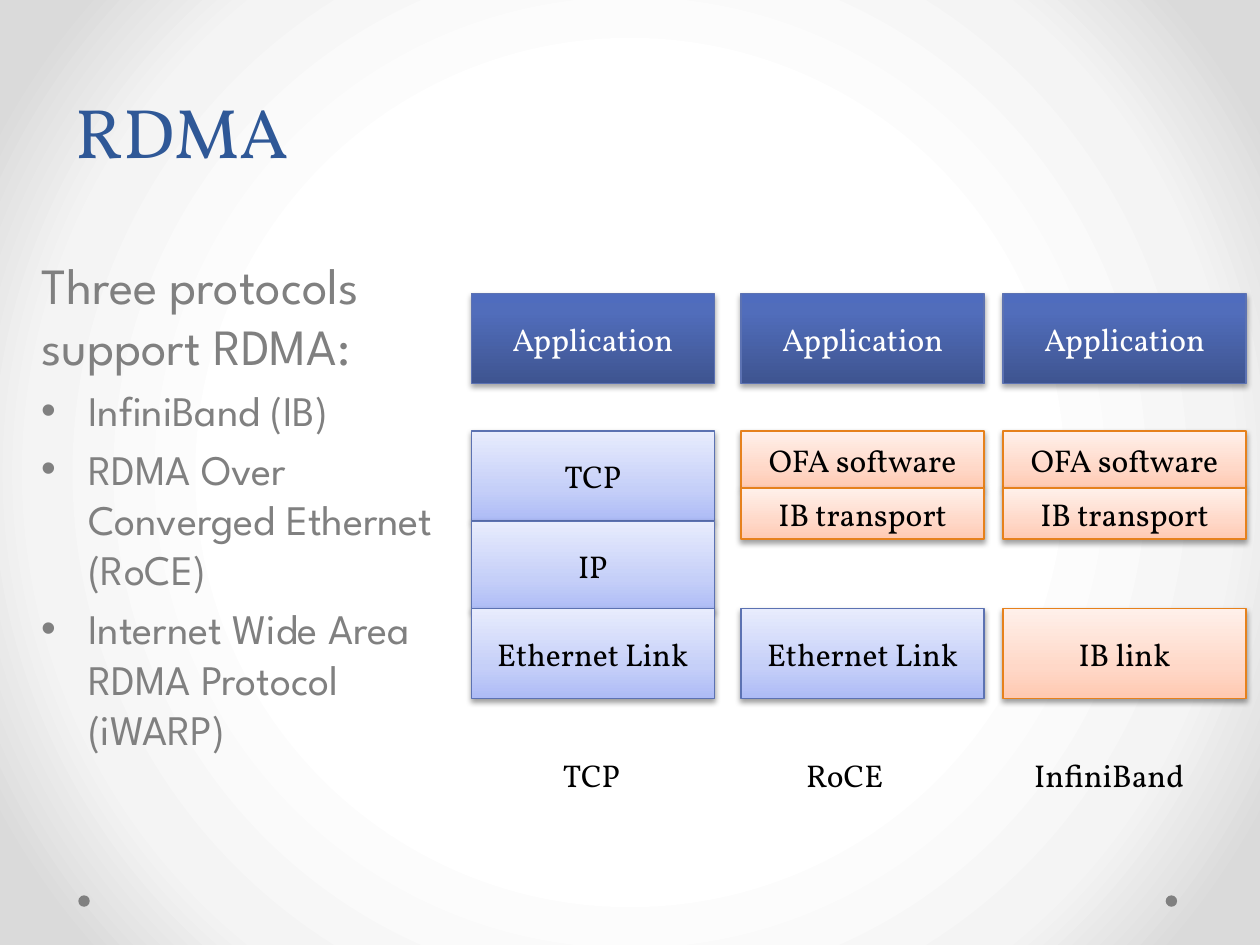
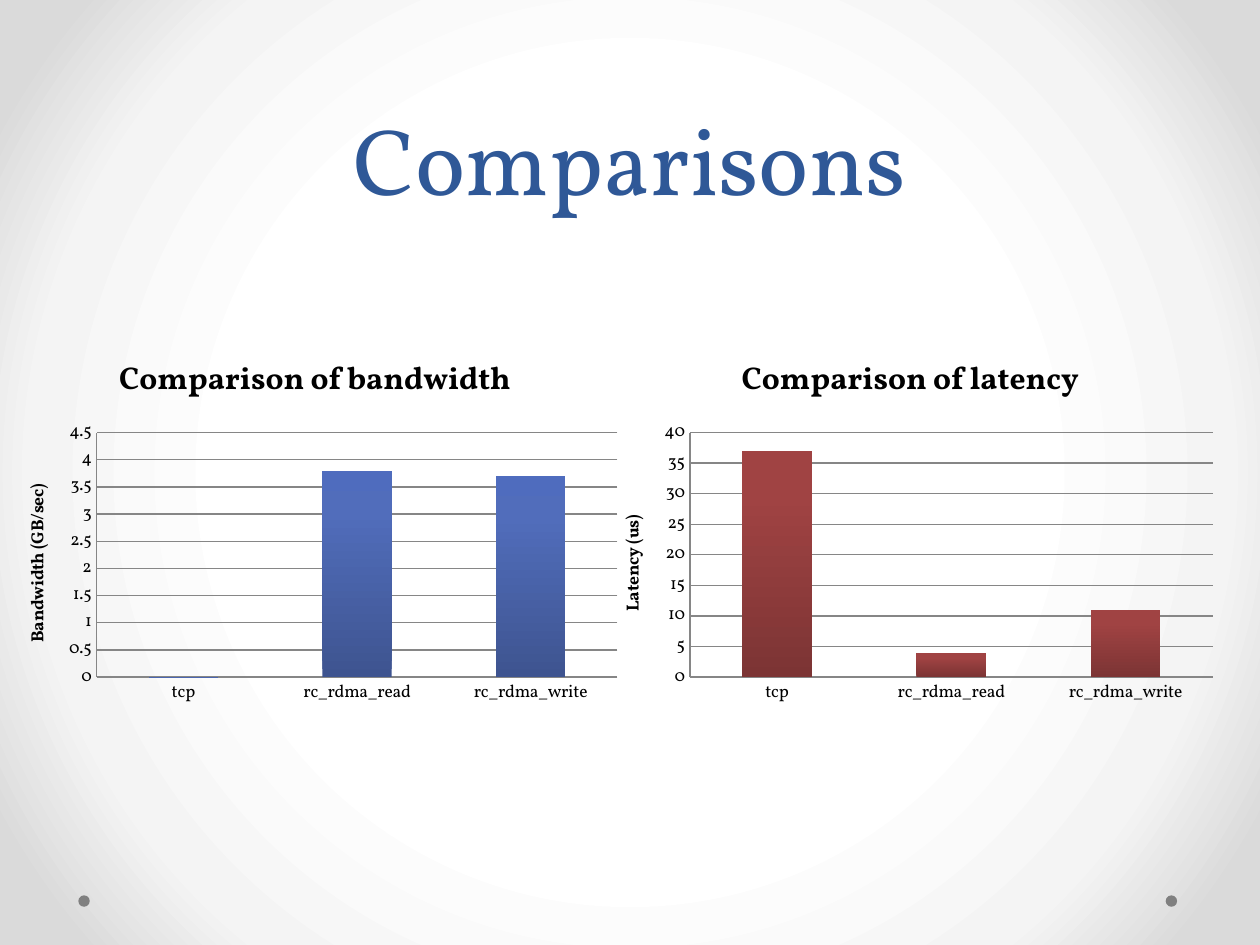
from lxml import etree
from pptx import Presentation
from pptx.chart.data import CategoryChartData
from pptx.dml.color import RGBColor
from pptx.enum.chart import XL_CHART_TYPE, XL_TICK_MARK
from pptx.enum.shapes import MSO_SHAPE
from pptx.enum.text import MSO_ANCHOR, MSO_AUTO_SIZE, PP_ALIGN
from pptx.oxml import parse_xml
from pptx.oxml.ns import qn
from pptx.util import Cm, Pt

RECT, OVAL = MSO_SHAPE.RECTANGLE, MSO_SHAPE.OVAL
LEFT, CENTER = PP_ALIGN.LEFT, PP_ALIGN.CENTER
MIDDLE, BOTTOM = MSO_ANCHOR.MIDDLE, MSO_ANCHOR.BOTTOM
COLUMN, NO_TICK = XL_CHART_TYPE.COLUMN_CLUSTERED, XL_TICK_MARK.NONE
NO_FIT = MSO_AUTO_SIZE.NONE

SERIF, SANS = "Vollkorn", "League Spartan"
BLUE, GRAY, BLACK, WHITE = "2F5897", "808080", "000000", "FFFFFF"
NS = 'xmlns:a="http://schemas.openxmlformats.org/drawingml/2006/main"'
UPWARD = '<a:lin ang="16200000" scaled="0"/>'
RADIAL = '<a:path path="circle"><a:fillToRect l="50000" t="50000" r="50000" b="50000"/></a:path>'
DARK_BLUE = [(0, "3E5490"), (80, "516DBB"), (100, "4F6CBE")]
LIGHT_BLUE = [(0, "ADBBF6"), (35, "C5CFF8"), (100, "E8ECFD")]
ORANGE = [(0, "FFC9B1"), (35, "FFD8C8"), (100, "FFF0EA")]
DARK_RED = [(0, "7C3434"), (80, "A04343"), (100, "A34444")]


def set_gradient(fill, element, stops, direction=UPWARD):
    fill.solid()
    fill.fore_color.rgb = RGBColor.from_string(WHITE)
    gs = "".join(f'<a:gs pos="{pos * 1000}"><a:srgbClr val="{color}"/></a:gs>'
                 for pos, color in stops)
    solid = next(element.iter(qn("a:solidFill")))
    solid.getparent().replace(solid, parse_xml(
        f'<a:gradFill {NS} rotWithShape="1"><a:gsLst>{gs}</a:gsLst>{direction}</a:gradFill>'))


def style_font(font, size, color, name=SERIF, bold=False):
    font.size = Pt(size)
    font.name = name
    font.bold = bold
    font.color.rgb = RGBColor.from_string(color)


prs = Presentation()
prs.slide_width, prs.slide_height = Cm(25.4), Cm(19.05)
layout = prs.slide_layouts[5]
background = prs.slide_master.background
set_gradient(background.fill, prs.slide_master.element,
             [(50, "FFFFFF"), (76, "F4F4F4"), (92, "DADADA")], RADIAL)

slides = []
for text, height, size, align in [("RDMA", 3.6, 40, LEFT), ("Comparisons", 4.45, 54, CENTER)]:
    s = prs.slides.add_slide(layout)
    slides.append(s)
    for x in (23.5, 1.58):
        dot = s.shapes.add_shape(OVAL, Cm(x), Cm(18.05), Cm(0.23), Cm(0.23))
        dot.shadow.inherit = False
        dot.fill.solid()
        dot.fill.fore_color.rgb = RGBColor.from_string(GRAY)
        dot.line.fill.background()
    title = s.shapes.title
    title.left, title.top, title.width, title.height = Cm(1.27), Cm(0), Cm(22.86), Cm(height)
    tf = title.text_frame
    tf.text = text
    tf.auto_size = NO_FIT
    tf.vertical_anchor = BOTTOM
    p = tf.paragraphs[0]
    p.alignment = align
    p.line_spacing = Pt(58)
    style_font(p.runs[0].font, size, BLUE)

rdma, comparisons = slides

tf = rdma.shapes.add_textbox(Cm(0.58), Cm(5), Cm(9.17), Cm(12.17)).text_frame
tf.word_wrap = True
tf.text = "\n".join(["Three protocols support RDMA:", "InfiniBand (IB)",
                     "RDMA Over Converged Ethernet (RoCE)",
                     "Internet Wide Area RDMA Protocol (iWARP)"])
for i, p in enumerate(tf.paragraphs):
    size = 24 if i else 29
    p.space_before = Pt(size * 0.2)
    style_font(p.runs[0].font, size, GRAY, SANS)
    if i:
        pPr = p._p.get_or_add_pPr()
        pPr.set("marL", str(Cm(0.95)))
        pPr.set("indent", str(-Cm(0.95)))
        etree.SubElement(pPr, qn("a:buFont")).set("typeface", "Arial")
        etree.SubElement(pPr, qn("a:buChar")).set("char", "•")

application = ("Application", 5.92, 1.81, DARK_BLUE)
ethernet = ("Ethernet Link", 12.27, 1.81, LIGHT_BLUE)
ib_layers = [("OFA software", 8.69, 1.15, ORANGE), ("IB transport", 9.84, 1.03, ORANGE)]
stacks = [
    (9.5, [application, ("TCP", 8.69, 1.81, LIGHT_BLUE), ("IP", 10.51, 1.81, LIGHT_BLUE), ethernet],
     "TCP", 11.1, 2.97),
    (14.94, [application, *ib_layers, ethernet], "RoCE", 16, 2.97),
    (20.22, [application, *ib_layers, ("IB link", 12.27, 1.81, ORANGE)], "InfiniBand", 20.6, 3.9),
]
for x, layers, label, label_x, label_width in stacks:
    for text, y, height, stops in layers:
        box = rdma.shapes.add_shape(RECT, Cm(x), Cm(y), Cm(4.9), Cm(height))
        set_gradient(box.fill, box._element.spPr, stops)
        box.line.color.rgb = RGBColor.from_string("E6811C" if stops == ORANGE else "5C72B2")
        box.line.width = Pt(0.75)
        box.shadow.inherit = False
        dark = stops == DARK_BLUE
        box._element.spPr.find(qn("a:effectLst")).append(parse_xml(
            f'<a:outerShdw {NS} blurRad="40000" dist="{23000 if dark else 20000}" dir="5400000" '
            f'rotWithShape="0"><a:srgbClr val="{BLACK}">'
            f'<a:alpha val="{35000 if dark else 38000}"/></a:srgbClr></a:outerShdw>'))
        tf = box.text_frame
        tf.text = text
        tf.vertical_anchor = MIDDLE
        tf.paragraphs[0].alignment = CENTER
        style_font(tf.paragraphs[0].runs[0].font, 18, WHITE if dark else BLACK)
    tf = rdma.shapes.add_textbox(Cm(label_x), Cm(15.11), Cm(label_width), Cm(1.03)).text_frame
    tf.word_wrap = True
    tf.text = label
    style_font(tf.paragraphs[0].runs[0].font, 18, BLACK)

charts = [
    (12, "Comparison of latency", "Latency (us)", (37, 4, 11), 40, 5, DARK_RED),
    (0, "Comparison of bandwidth", "Bandwidth (GB/sec)", (0, 3.8, 3.7), 4.5, 0.5, DARK_BLUE),
]
for x, heading, unit, values, top, step, stops in charts:
    data = CategoryChartData()
    data.categories = ["tcp", "rc_rdma_read", "rc_rdma_write"]
    data.add_series("Series 1", values)
    chart = comparisons.shapes.add_chart(COLUMN, Cm(x), Cm(6.76), Cm(12.7), Cm(7.62), data).chart
    style_font(chart.font, 10, BLACK)
    chart.has_legend = False
    chart.has_title = True
    value_axis, category_axis = chart.value_axis, chart.category_axis
    value_axis.has_title = True
    for holder, text, size in [(chart.chart_title, heading, 18), (value_axis.axis_title, unit, 10)]:
        holder.text_frame.text = text
        style_font(holder.text_frame.paragraphs[0].runs[0].font, size, BLACK, bold=True)
    value_axis.minimum_scale, value_axis.maximum_scale = 0, top
    value_axis.major_unit = step
    value_axis.has_major_gridlines = True
    for axis in (value_axis, category_axis):
        axis.major_tick_mark = axis.minor_tick_mark = NO_TICK
    for line in (value_axis.major_gridlines.format.line, value_axis.format.line,
                 category_axis.format.line):
        line.color.rgb = RGBColor.from_string("868686")
        line.width = Pt(0.75)
    plot = chart.plots[0]
    plot.gap_width = 150
    plot.vary_by_categories = False
    series = plot.series[0]
    set_gradient(series.format.fill, series._element, stops)

prs.save("out.pptx")
